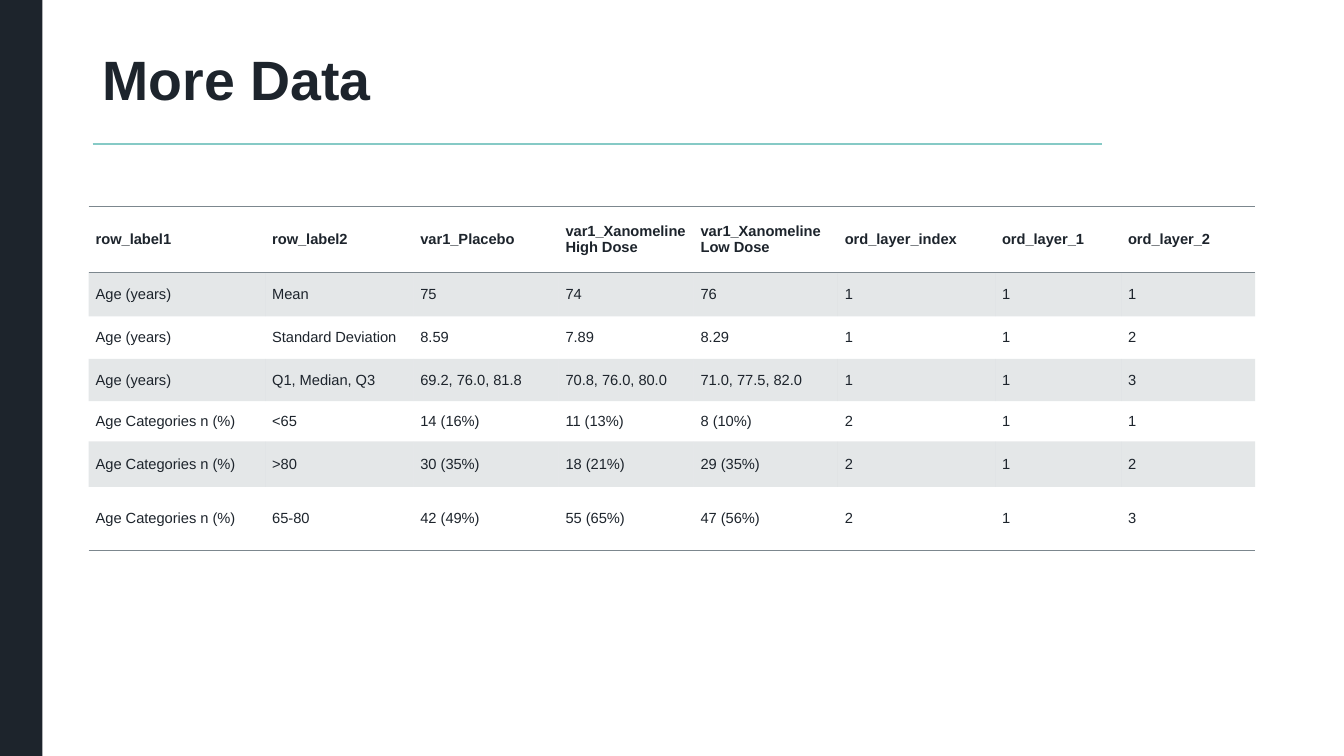
"""Build the "More Data" slide with its age summary table."""
from dataclasses import dataclass
from typing import Any

from lxml.etree import SubElement
from pptx import Presentation
from pptx.dml.color import RGBColor
from pptx.enum.shapes import MSO_CONNECTOR, MSO_SHAPE
from pptx.enum.text import MSO_ANCHOR, MSO_AUTO_SIZE, PP_ALIGN
from pptx.oxml.ns import qn
from pptx.util import Inches, Pt

COLORS = {"ink": "1D242C", "accent": "86CAC6", "rule": "7C878E"}
NO_GRID_STYLE = "{2D5ABB26-0587-4C30-8999-92F81FD0307C}"
BAND_OPACITY = "20000"

TITLE_FRAME = {
    "vertical_anchor": MSO_ANCHOR.MIDDLE,
    "auto_size": MSO_AUTO_SIZE.NONE,
    "word_wrap": True,
}
TITLE_PARAGRAPH = {"alignment": PP_ALIGN.LEFT, "line_spacing": 0.9}
TITLE_FONT = {"name": "Arial", "size": Pt(39.6), "bold": True}
CELL_FORMAT = {
    "vertical_anchor": MSO_ANCHOR.MIDDLE,
    "margin_left": Inches(0.07),
    "margin_right": Inches(0.07),
    "margin_top": Inches(0.04),
    "margin_bottom": Inches(0.04),
}
CELL_FONT = {"name": "Arial", "size": Pt(10.5)}


@dataclass(frozen=True)
class Column:
    heading: str
    width: float


@dataclass(frozen=True)
class SummaryRow:
    height: float
    values: tuple[str, ...]
    bold: bool = False
    banded: bool = False
    borders: tuple[str, ...] = ()


AGE, CATEGORIES = "Age (years)", "Age Categories n (%)"
COLUMNS = (
    Column("row_label1", 1.75),
    Column("row_label2", 1.47),
    Column("var1_Placebo", 1.44),
    Column("var1_Xanomeline High Dose", 1.34),
    Column("var1_Xanomeline Low Dose", 1.43),
    Column("ord_layer_index", 1.56),
    Column("ord_layer_1", 1.25),
    Column("ord_layer_2", 1.33),
)
ROWS = (
    SummaryRow(0.65, tuple(column.heading for column in COLUMNS), bold=True, borders=("lnT", "lnB")),
    SummaryRow(0.44, (AGE, "Mean", "75", "74", "76", "1", "1", "1"), banded=True),
    SummaryRow(0.42, (AGE, "Standard Deviation", "8.59", "7.89", "8.29", "1", "1", "2")),
    SummaryRow(
        0.42,
        (AGE, "Q1, Median, Q3", "69.2, 76.0, 81.8", "70.8, 76.0, 80.0", "71.0, 77.5, 82.0", "1", "1", "3"),
        banded=True,
    ),
    SummaryRow(0.4, (CATEGORIES, "<65", "14 (16%)", "11 (13%)", "8 (10%)", "2", "1", "1")),
    SummaryRow(0.45, (CATEGORIES, ">80", "30 (35%)", "18 (21%)", "29 (35%)", "2", "1", "2"), banded=True),
    SummaryRow(
        0.63, (CATEGORIES, "65-80", "42 (49%)", "55 (65%)", "47 (56%)", "2", "1", "3"), borders=("lnB",)
    ),
)


def rgb(name: str) -> RGBColor:
    """Return a named colour."""
    return RGBColor.from_string(COLORS[name])


def apply(target: Any, values: dict[str, Any]) -> None:
    """Set each format value on the target."""
    for attribute, value in values.items():
        setattr(target, attribute, value)


def draw_sidebar(slide: Any) -> None:
    """Draw the dark band along the left edge."""
    sidebar = slide.shapes.add_shape(MSO_SHAPE.RECTANGLE, 0, 0, Inches(0.42), Inches(7.5))
    sidebar.shadow.inherit = False
    sidebar.fill.solid()
    sidebar.fill.fore_color.rgb = rgb("ink")
    sidebar.line.fill.background()


def draw_title(slide: Any, wording: str) -> None:
    """Place the title and the line below it."""
    left, width, line_top = Inches(0.92), Inches(10.01), Inches(1.43)
    title = slide.shapes.title
    apply(title, {"left": left, "top": Inches(0.53), "width": width, "height": Inches(0.58)})
    title.text_frame.text = wording
    apply(title.text_frame, TITLE_FRAME)
    heading = title.text_frame.paragraphs[0]
    apply(heading, TITLE_PARAGRAPH)
    apply(heading.runs[0].font, TITLE_FONT)
    heading.runs[0].font.color.rgb = rgb("ink")

    underline = slide.shapes.add_connector(MSO_CONNECTOR.STRAIGHT, left, line_top, left + width, line_top)
    underline.line.color.rgb = rgb("accent")
    underline.line.width = Pt(1)
    SubElement(underline._element.spPr, qn("a:effectLst"))


def draw_cell(cell: Any, value: str, row: SummaryRow) -> None:
    """Write and format one table cell."""
    cell.text = value
    apply(cell, CELL_FORMAT)
    font = cell.text_frame.paragraphs[0].runs[0].font
    apply(font, CELL_FONT | {"bold": row.bold})
    font.color.rgb = rgb("ink")
    properties = cell._tc.get_or_add_tcPr()
    for side in row.borders:
        border = SubElement(properties, qn(f"a:{side}"), w=str(Pt(1)))
        border_fill = SubElement(border, qn("a:solidFill"))
        SubElement(border_fill, qn("a:srgbClr"), val=COLORS["rule"])
    if row.banded:
        cell.fill.solid()
        cell.fill.fore_color.rgb = rgb("rule")
        band_color = properties.find(f".//{qn('a:srgbClr')}")
        SubElement(band_color, qn("a:alpha"), val=BAND_OPACITY)
    else:
        cell.fill.background()


def draw_summary(slide: Any) -> None:
    """Draw the age summary table."""
    width = sum(column.width for column in COLUMNS)
    height = sum(row.height for row in ROWS)
    summary = slide.shapes.add_table(
        len(ROWS), len(COLUMNS), Inches(0.88), Inches(2.05), Inches(width), Inches(height)
    ).table
    summary.horz_banding = False
    summary._tbl.tblPr.find(qn("a:tableStyleId")).text = NO_GRID_STYLE
    for index, column in enumerate(COLUMNS):
        summary.columns[index].width = Inches(column.width)
    for row_index, row in enumerate(ROWS):
        summary.rows[row_index].height = Inches(row.height)
        for column_index, value in enumerate(row.values):
            draw_cell(summary.cell(row_index, column_index), value, row)


def main() -> None:
    """Build and save the presentation."""
    presentation = Presentation()
    presentation.slide_width = Inches(13.33)
    presentation.slide_height = Inches(7.5)
    slide = presentation.slides.add_slide(presentation.slide_layouts.get_by_name("Title Only"))
    draw_sidebar(slide)
    draw_title(slide, "More Data")
    draw_summary(slide)
    presentation.save("out.pptx")


if __name__ == "__main__":
    main()
